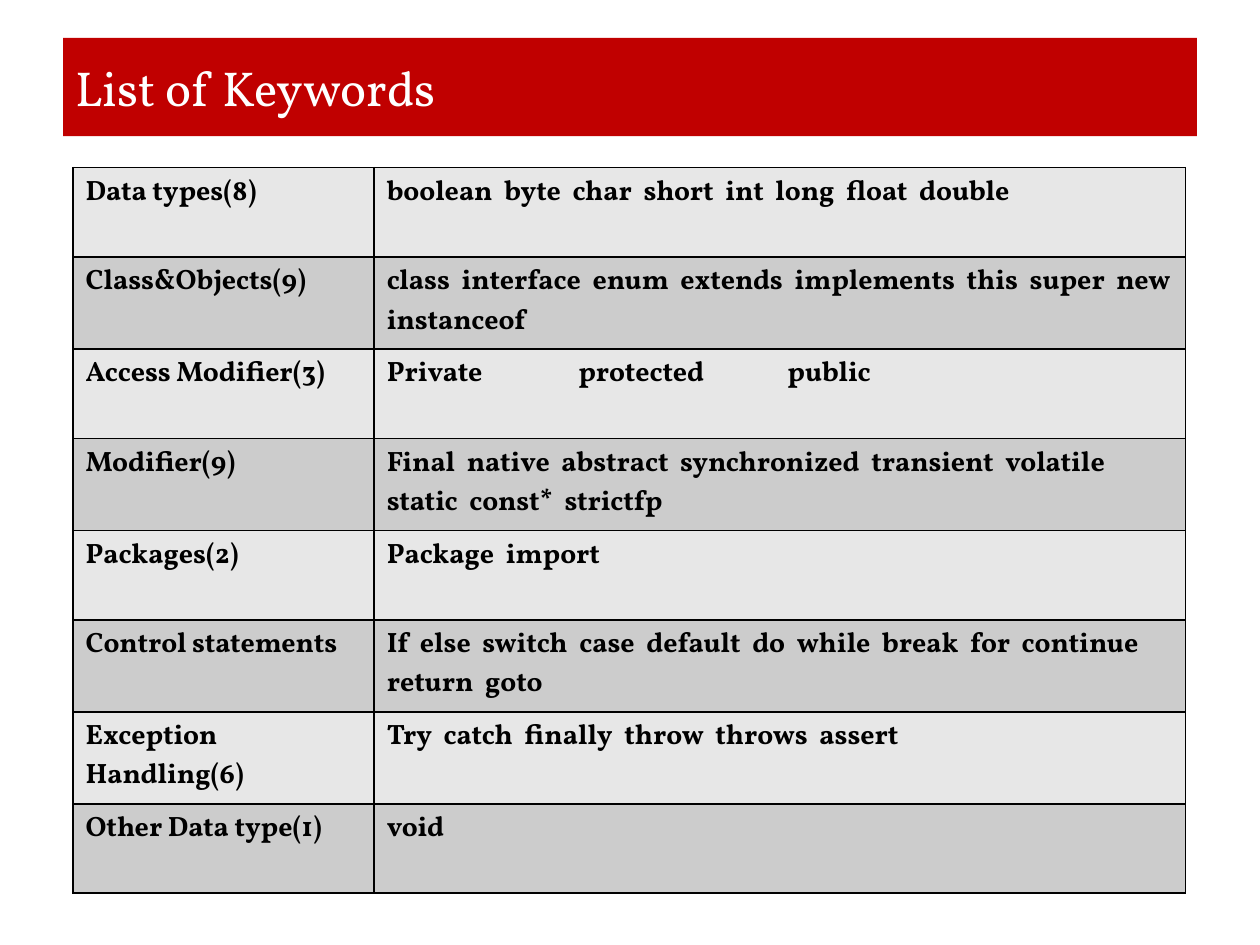
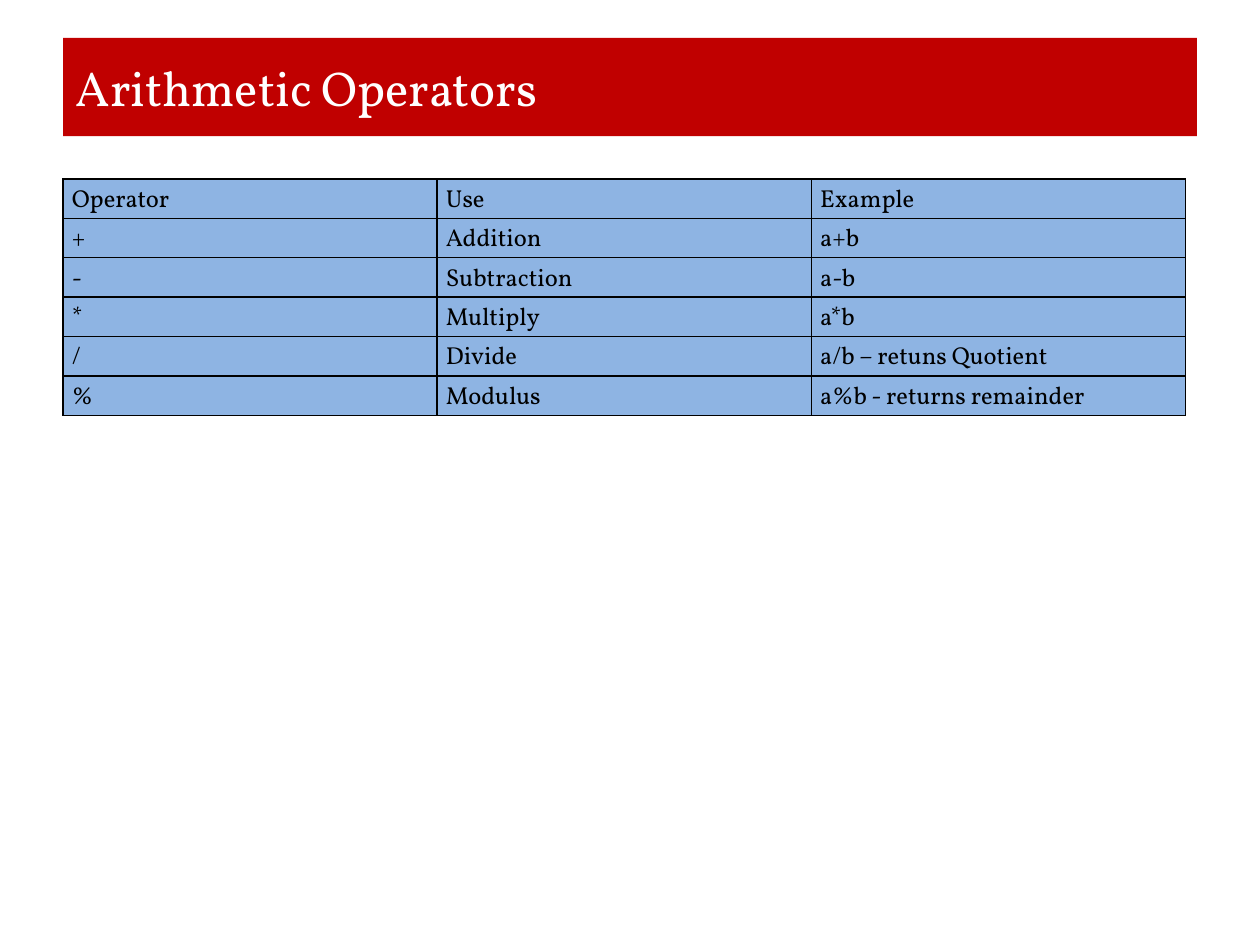
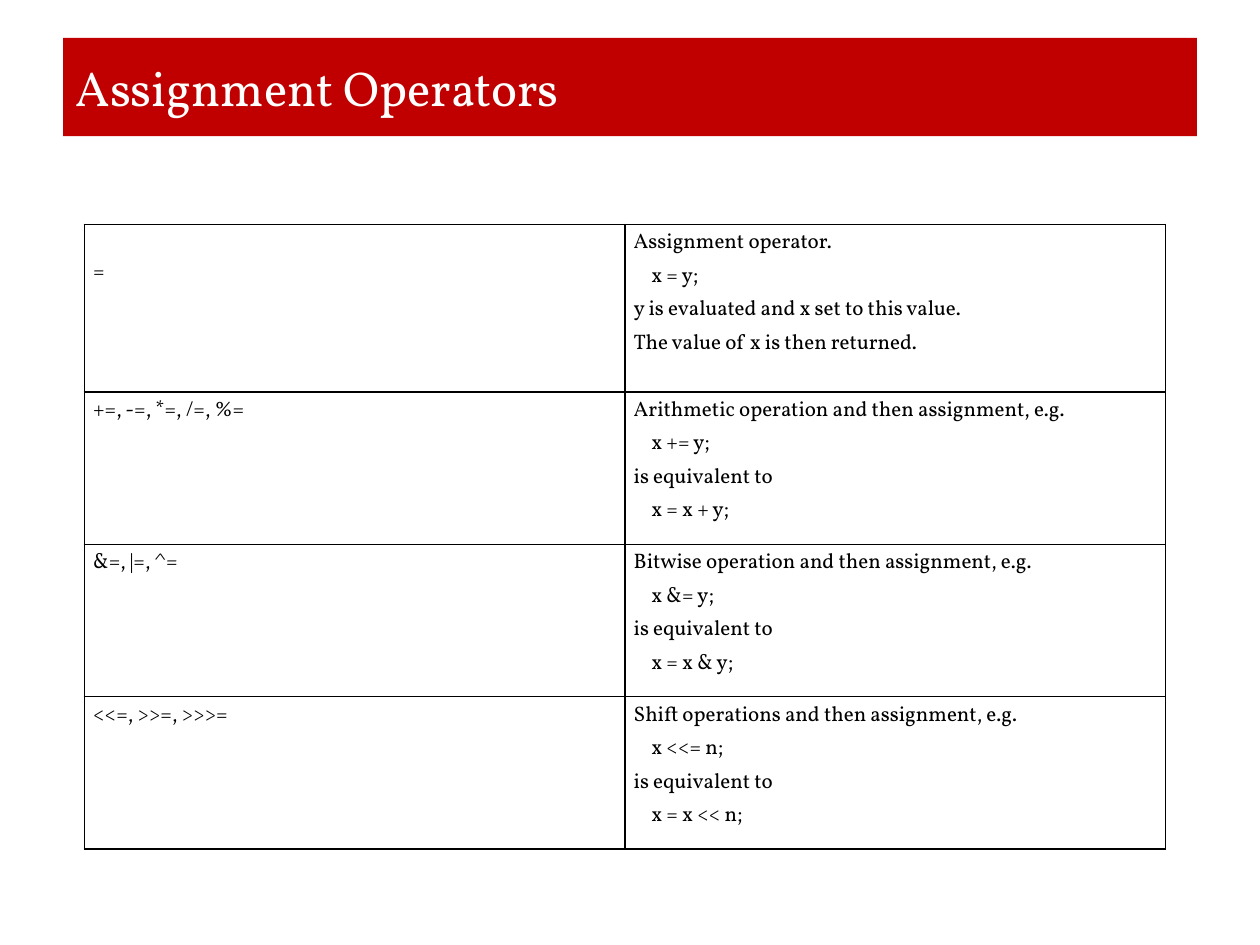
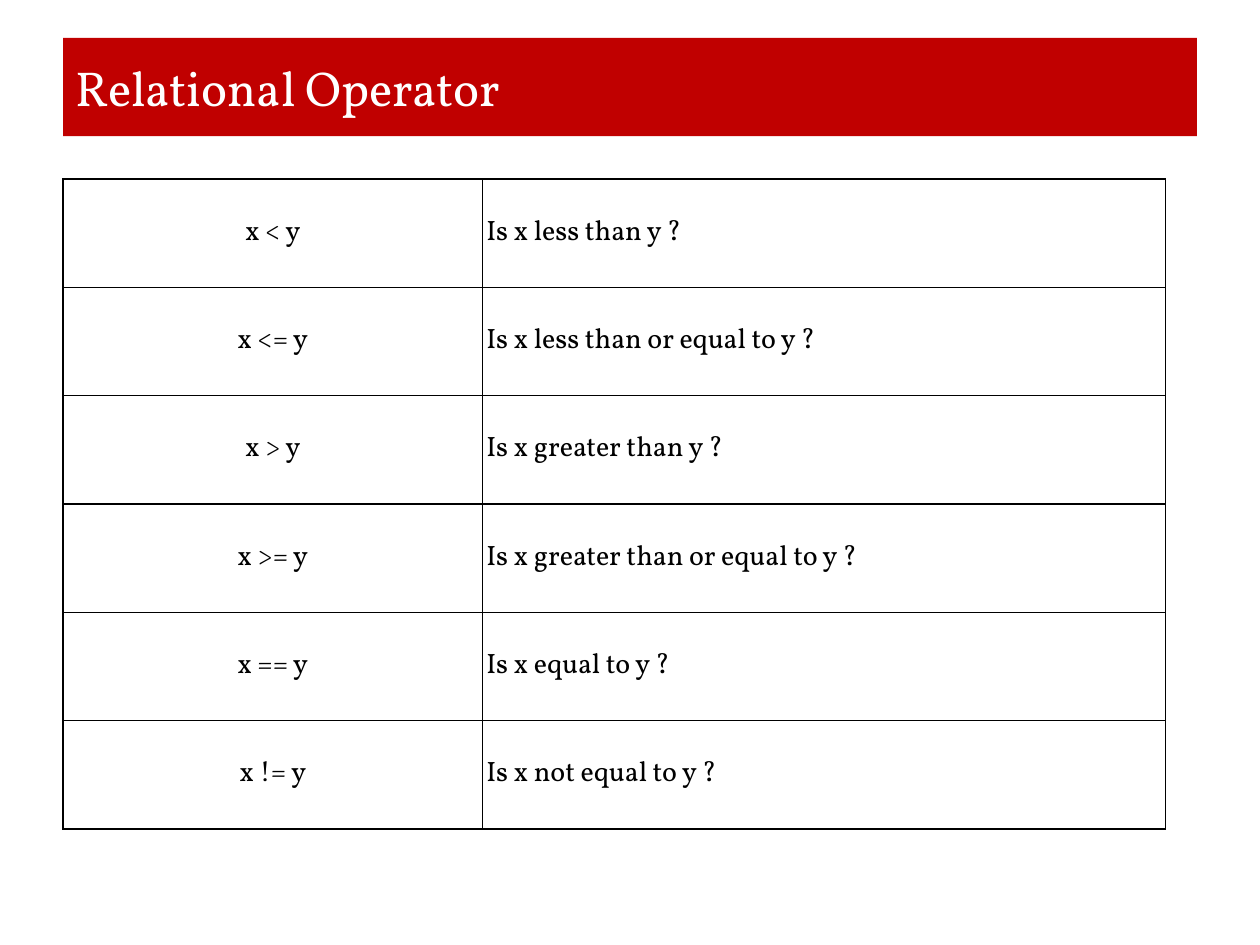
from pptx import Presentation
from pptx import util as u
from pptx.dml.color import RGBColor
from pptx.enum import text as t
from pptx.oxml import parse_xml
from pptx.oxml.ns import nsdecls

RED, WHITE, BLACK = "C00000", "FFFFFF", "000000"
LIGHT, GREY, BLUE = "E7E7E7", "CCCCCC", "8EB4E3"
FONT = "Vollkorn"
LEFT, MID = t.PP_ALIGN.LEFT, t.MSO_ANCHOR.MIDDLE
THIN = (0.07, 0, 0.07, 0)


def paint(fill, hue):
    fill.solid()
    fill.fore_color.rgb = RGBColor.from_string(hue)


def write(frame, words, size=16, hue=BLACK, bold=False, align=LEFT,
          lead=None, gap=0, tabs=(), code=0):
    for i, line in enumerate(words.split("\n")):
        para = frame.paragraphs[0] if i == 0 else frame.add_paragraph()
        para.alignment = align
        if lead:
            para.line_spacing = lead
        props = para._p.get_or_add_pPr()
        if code and line.endswith(";"):
            props.set("marL", str(u.Inches(code)))
        if tabs and "\t" in line:
            stops = "".join(f'<a:tab pos="{u.Inches(x)}" algn="l"/>' for x in tabs)
            props.append(parse_xml(f'<a:tabLst {nsdecls("a")}>{stops}</a:tabLst>'))
        parts = line.replace(" ", "\n \n").split("\n") if gap else [line]
        for part in parts:
            run = para.add_run()
            run.text = part
            font = run.font
            font.name, font.size, font.bold = FONT, u.Pt(size), bold
            paint(font.fill, hue)
            if gap and part == " ":
                font._element.set("spc", str(round(gap * 100)))


class Deck:
    def __init__(self):
        self.show = Presentation()
        self.show.slide_width = u.Inches(10)
        self.show.slide_height = u.Inches(7.5)

    def page(self, title):
        self.slide = self.show.slides.add_slide(self.show.slide_layouts[5])
        band = self.slide.shapes.title
        band.left, band.top = u.Inches(0.5), u.Inches(0.3)
        band.width, band.height = u.Inches(9), u.Inches(0.78)
        paint(band.fill, RED)
        band.text_frame.vertical_anchor = MID
        write(band.text_frame, title, size=28, hue=WHITE)

    def edge(self, cell):
        props = cell._tc.get_or_add_tcPr()
        for side in "LRTB":
            props.append(parse_xml(
                f'<a:ln{side} {nsdecls("a")} w="{u.Pt(1)}"><a:solidFill>'
                f'<a:srgbClr val="{BLACK}"/></a:solidFill></a:ln{side}>'))

    def table(self, left, top, cols, highs, rows, fills=(), pad=None,
              anchor=None, forms=({}, {}), **form):
        grid = self.slide.shapes.add_table(
            len(rows), len(cols), u.Inches(left), u.Inches(top),
            u.Inches(sum(cols)), u.Inches(sum(highs))).table
        grid.first_row = grid.horz_banding = False
        for col, wide in zip(grid.columns, cols):
            col.width = u.Inches(wide)
        for r, (row, high) in enumerate(zip(rows, highs)):
            grid.rows[r].height = u.Inches(high)
            for c, words in enumerate(row):
                cell = grid.cell(r, c)
                self.edge(cell)
                if fills:
                    paint(cell.fill, fills[r % len(fills)])
                else:
                    cell.fill.background()
                if pad:
                    (cell.margin_left, cell.margin_top, cell.margin_right,
                     cell.margin_bottom) = map(u.Inches, pad)
                if anchor:
                    cell.vertical_anchor = anchor
                write(cell.text_frame, words, **form, **forms[c])
        return grid


def main():
    deck = Deck()

    deck.page("List of Keywords")
    low, tall = 0.71, 0.73
    deck.table(0.58, 1.33, (2.39, 6.44), (low, tall, low, tall, low, tall, tall, low), [
        ("Data types(8)", "boolean byte char short int long float double"),
        ("Class&Objects(9)", "class interface enum extends implements this super new instanceof"),
        ("Access Modifier(3)", "Private\tprotected\tpublic"),
        ("Modifier(9)", "Final native abstract synchronized transient volatile static const* strictfp"),
        ("Packages(2)", "Package import"),
        ("Control statements", "If else switch case default do while break for continue return goto"),
        ("Exception Handling(6)", "Try catch finally throw throws assert"),
        ("Other Data type(1)", "void"),
    ], fills=(LIGHT, GREY), bold=True, forms=({}, {"gap": 3.4, "tabs": (1.52, 3.18)}))

    deck.page("Arithmetic Operators")
    deck.table(0.5, 1.42, (2.97,) * 3, (0.28,) * 6, [
        ("Operator", "Use", "Example"),
        ("+", "Addition", "a+b"),
        ("-", "Subtraction", "a-b"),
        ("*", "Multiply", "a*b"),
        ("/", "Divide", "a/b – retuns Quotient"),
        ("%", "Modulus", "a%b - returns remainder"),
    ], fills=(BLUE,), pad=THIN, forms=({},) * 3, size=14, lead=1.15)

    deck.page("Assignment Operators")
    rows = [("=", "Assignment operator.\nx = y;\ny is evaluated and x set to this value.\n"
                  "The value of x is then returned.")]
    for signs, kind, short, full in (
            ("+=, -=, *=, /=, %=", "Arithmetic operation", "x += y;", "x = x + y;"),
            ("&=, |=, ^=", "Bitwise operation", "x &= y;", "x = x & y;"),
            ("<<=, >>=, >>>=", "Shift operations", "x <<= n;", "x = x << n;")):
        rows.append((signs, f"{kind} and then assignment, e.g.\n{short}\nis equivalent to\n{full}"))
    grid = deck.table(0.67, 1.78, (4.29, 4.29), (1.33,) + (1.21,) * 3, rows,
                      pad=THIN, size=12, lead=1.15, code=0.14)
    grid.cell(0, 0).margin_top = u.Inches(0.24)

    deck.page("Relational Operator")
    signs = {"<": "less than", "<=": "less than or equal to", ">": "greater than",
             ">=": "greater than or equal to", "==": "equal to", "!=": "not equal to"}
    deck.table(0.5, 1.42, (3.33, 5.42), (0.86,) * 6,
               [(f"x {sign} y", f"Is x {words} y ?") for sign, words in signs.items()],
               fills=(WHITE,), pad=(0.03,) * 4, anchor=MID,
               forms=({"align": t.PP_ALIGN.CENTER}, {}))

    deck.show.save("out.pptx")


if __name__ == "__main__":
    main()
